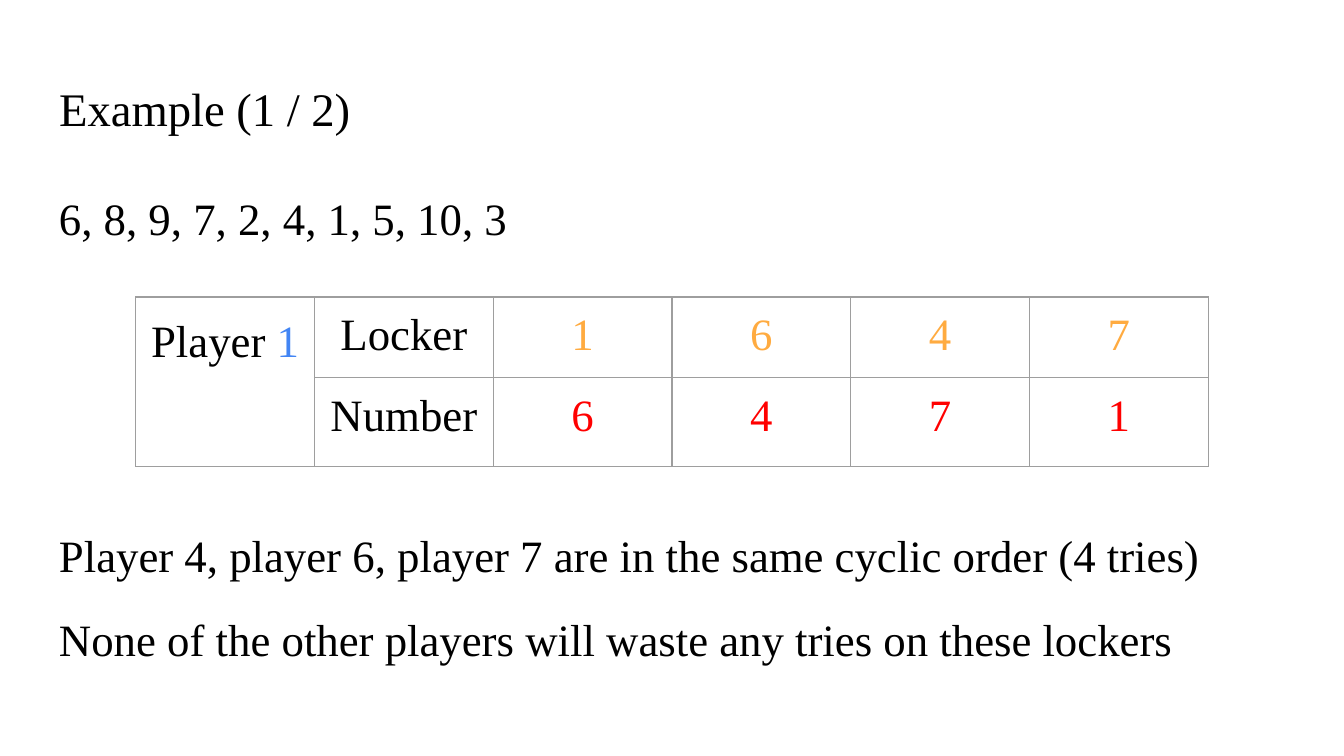
from dataclasses import dataclass

from lxml import etree
from pptx import Presentation
from pptx import util as u
from pptx.dml.color import RGBColor
from pptx.enum import text
from pptx.oxml.ns import qn

COLORS = {
    "text": "000000",
    "player": "4285F4",
    "locker": "FFAB40",
    "number": "FF0000",
    "border": "9E9E9E",
}
FONT = "Times New Roman"
INSET = u.Pt(7.2)
LEFT, WIDTH = u.Pt(24.5), u.Pt(671)
COLUMN_WIDTH = u.Pt(95.76)


@dataclass
class TextBlock:
    top: float
    height: float
    lines: list[str]


@dataclass
class TableRow:
    label: str
    values: list[int]
    color: str
    height: float


BLOCKS = [
    TextBlock(90.7, 46, ["6, 8, 9, 7, 2, 4, 1, 5, 10, 3"]),
    TextBlock(271.2, 89, [
        "Player 4, player 6, player 7 are in the same cyclic order (4 tries)",
        "None of the other players will waste any tries on these lockers",
    ]),
]
ROWS = [
    TableRow("Locker", [1, 6, 4, 7], "locker", 40.8),
    TableRow("Number", [6, 4, 7, 1], "number", 45),
]


def format_run(run, color: str = "text", size: float = 24) -> None:
    run.font.name = FONT
    run.font.size = u.Pt(size)
    run.font.color.rgb = RGBColor.from_string(COLORS[color])


def set_insets(frame) -> None:
    frame.margin_left = frame.margin_right = INSET
    frame.margin_top = frame.margin_bottom = INSET


def add_title(slide, words: str) -> None:
    title = slide.shapes.title
    title.left, title.top = LEFT, u.Pt(35.3)
    title.width, title.height = WIDTH, u.Pt(45.4)
    frame = title.text_frame
    set_insets(frame)
    frame.auto_size = text.MSO_AUTO_SIZE.NONE
    frame.vertical_anchor = text.MSO_ANCHOR.MIDDLE
    frame.text = words
    paragraph = frame.paragraphs[0]
    paragraph.alignment = text.PP_ALIGN.LEFT
    paragraph.line_spacing = 1.0
    format_run(paragraph.runs[0], size=25)


def add_block(slide, block: TextBlock) -> None:
    shape = slide.shapes.add_textbox(LEFT, u.Pt(block.top), WIDTH, u.Pt(block.height))
    frame = shape.text_frame
    frame.word_wrap = True
    set_insets(frame)
    frame.text = "\n".join(block.lines)
    for index, paragraph in enumerate(frame.paragraphs):
        paragraph.line_spacing = 1.15
        paragraph.space_before = u.Pt(12 if index else 0)
        format_run(paragraph.runs[0])


def add_borders(cell) -> None:
    properties = cell._tc.get_or_add_tcPr()
    for side in ("lnL", "lnR", "lnT", "lnB"):
        line = etree.SubElement(properties, qn(f"a:{side}"), w=str(u.Pt(0.75)))
        fill = etree.SubElement(line, qn("a:solidFill"))
        etree.SubElement(fill, qn("a:srgbClr"), val=COLORS["border"])


def fill_cell(cell, words: str, color: str = "text") -> None:
    cell.text_frame.text = words
    paragraph = cell.text_frame.paragraphs[0]
    paragraph.alignment = text.PP_ALIGN.CENTER
    format_run(paragraph.runs[0], color)


def add_locker_table(slide, rows: list[TableRow]) -> None:
    columns = len(rows[0].values) + 2
    table = slide.shapes.add_table(
        len(rows), columns, u.Pt(72.72), u.Pt(159.1),
        COLUMN_WIDTH * columns, u.Pt(sum(row.height for row in rows)),
    ).table
    table.first_row = table.horz_banding = False
    for column in table.columns:
        column.width = COLUMN_WIDTH
    for cell in table.iter_cells():
        set_insets(cell)
        add_borders(cell)
        cell.fill.background()
    for index, row in enumerate(rows):
        table.rows[index].height = u.Pt(row.height)
        fill_cell(table.cell(index, 1), row.label)
        for column, value in enumerate(row.values, start=2):
            fill_cell(table.cell(index, column), str(value), row.color)

    player = table.cell(0, 0)
    player.merge(table.cell(len(rows) - 1, 0))
    fill_cell(player, "Player ")
    paragraph = player.text_frame.paragraphs[0]
    paragraph.line_spacing = 1.15
    paragraph.space_after = u.Pt(12)
    number = paragraph.add_run()
    number.text = "1"
    format_run(number, "player")


def main() -> None:
    presentation = Presentation()
    presentation.slide_width, presentation.slide_height = u.Pt(720), u.Pt(405)
    slide = presentation.slides.add_slide(presentation.slide_layouts[5])
    add_title(slide, "Example (1 / 2)")
    for block in BLOCKS:
        add_block(slide, block)
    add_locker_table(slide, ROWS)
    presentation.save("out.pptx")


if __name__ == "__main__":
    main()
